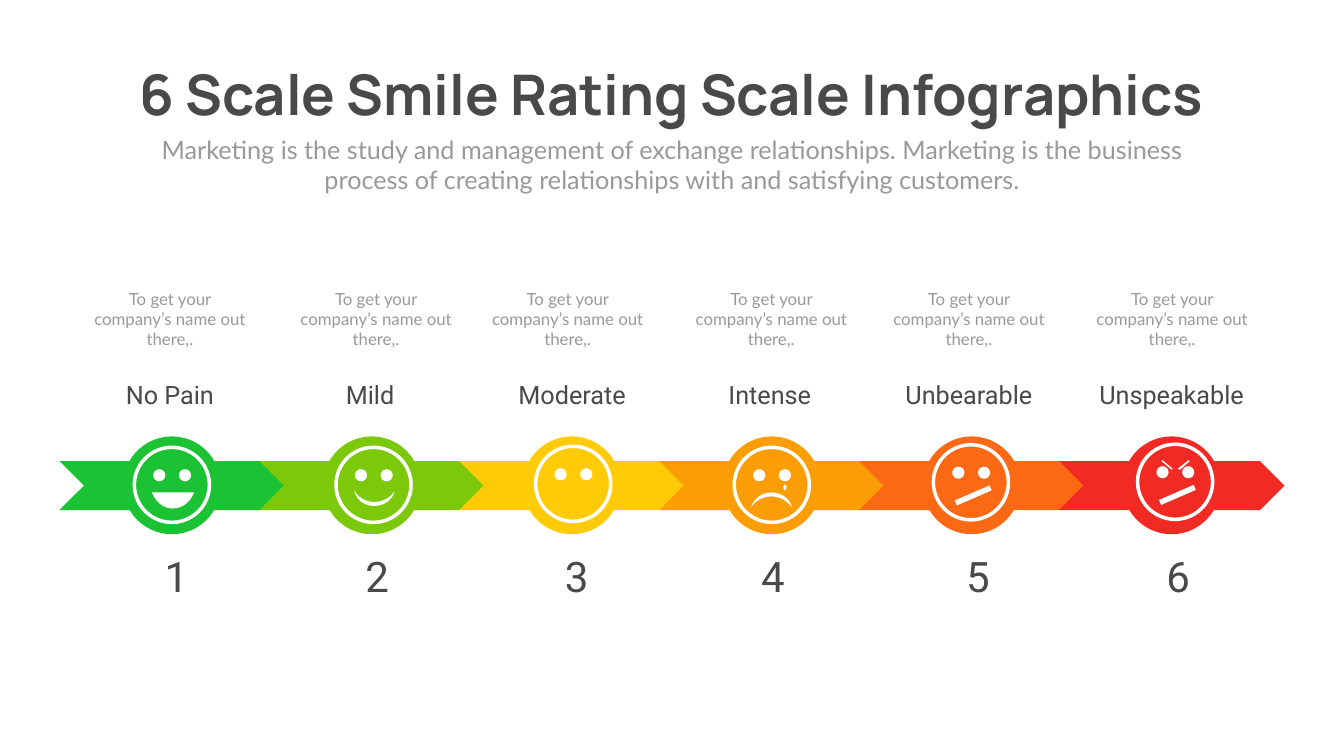
import math

from pptx import Presentation
from pptx.dml.color import RGBColor
from pptx.enum.shapes import MSO_SHAPE
from pptx.enum.text import MSO_ANCHOR, MSO_AUTO_SIZE, PP_ALIGN
from pptx.util import Inches, Pt

CHEVRON, OVAL, DONUT = MSO_SHAPE.CHEVRON, MSO_SHAPE.OVAL, MSO_SHAPE.DONUT
CENTER = PP_ALIGN.CENTER
TOP, MIDDLE = MSO_ANCHOR.TOP, MSO_ANCHOR.MIDDLE
GROW = MSO_AUTO_SIZE.SHAPE_TO_FIT_TEXT

DARK = RGBColor(0x49, 0x49, 0x49)
GREY = RGBColor(0x99, 0x99, 0x99)
WHITE = RGBColor(0xFF, 0xFF, 0xFF)
GREEN = RGBColor(0x1B, 0xC3, 0x34)
LIME = RGBColor(0x7C, 0xC9, 0x0C)
YELLOW = RGBColor(0xFF, 0xCB, 0x07)
AMBER = RGBColor(0xFB, 0x9D, 0x04)
ORANGE = RGBColor(0xFB, 0x69, 0x15)
RED = RGBColor(0xF1, 0x2A, 0x24)

DESCRIPTION = "To get your company’s name out there,."
FIRST_LEFT, STEP = 1.18, 3.966
FACE_SIZE, RING_WIDTH = 1.56, 0.07
CURVE_STEPS, OVAL_STEPS = 6, 16


def curve(start, *beziers):
    """Points along a chain of cubic curves, each given as three points."""
    points = [start]
    for b, c, d in beziers:
        a = points[-1]
        for i in range(1, CURVE_STEPS + 1):
            t = i / CURVE_STEPS
            u = 1 - t
            points.append(tuple(
                u**3 * a[k] + 3 * u * u * t * b[k] + 3 * u * t * t * c[k] + t**3 * d[k]
                for k in (0, 1)))
    return points


def oval(cx, cy, rx, ry):
    angles = [2 * math.pi * i / OVAL_STEPS for i in range(OVAL_STEPS)]
    return [(cx + rx * math.cos(a), cy + ry * math.sin(a)) for a in angles]


# Face outlines, in inches from the face's top left corner
EYES = [oval(0.53, 0.59, 0.12, 0.12), oval(1.04, 0.59, 0.12, 0.12)]
GRIN = [(0.38, 0.93)] + curve((1.22, 0.93), ((1.16, 1.1), (1.01, 1.25), (0.79, 1.25)),
                              ((0.6, 1.25), (0.45, 1.1), (0.38, 0.93)))
SMILE = curve((1.2, 0.9), ((1.16, 1.08), (0.99, 1.2), (0.79, 1.2)),
              ((0.6, 1.2), (0.43, 1.08), (0.39, 0.88)),
              ((0.47, 1.03), (0.62, 1.12), (0.79, 1.12)),
              ((0.97, 1.12), (1.12, 1.03), (1.2, 0.9)))
FROWN = curve((1.18, 1.23), ((1.09, 1.1), (0.94, 1.01), (0.77, 1.01)),
              ((0.6, 1.01), (0.45, 1.1), (0.36, 1.23)),
              ((0.43, 1.05), (0.58, 0.93), (0.77, 0.93)),
              ((0.97, 0.93), (1.14, 1.05), (1.18, 1.23)))
TEAR = oval(1.04, 0.83, 0.03, 0.055)
SLANT = [(1.15, 0.84), (1.19, 0.94), (0.5, 1.24), (0.46, 1.14)]
BROWS = [[(0.88, 0.54), (0.83, 0.52), (1.05, 0.35), (1.07, 0.37)],
         [(0.71, 0.54), (0.51, 0.37), (0.53, 0.35), (0.73, 0.52)]]

# label, colour, face position, face features, centres of description, label, number
RATINGS = [
    ("No Pain", GREEN, (2.63, 8.84), [GRIN], (3.37, 3.37, 3.5)),
    ("Mild", LIME, (6.63, 8.84), [SMILE], (7.46, 7.34, 7.48)),
    ("Moderate", YELLOW, (10.59, 8.82), [], (11.26, 11.35, 11.44)),
    ("Intense", AMBER, (14.53, 8.84), [FROWN, TEAR], (15.3, 15.27, 15.33)),
    ("Unbearable", ORANGE, (18.48, 8.79), [SLANT], (19.22, 19.22, 19.4)),
    ("Unspeakable", RED, (22.53, 8.78), [SLANT, *BROWS], (23.25, 23.24, 23.37)),
]


def paint(s, color):
    s.shadow.inherit = False
    s.fill.solid()
    s.fill.fore_color.rgb = color
    s.line.fill.background()


def add_block(slide, kind, left, top, width, height, color):
    s = slide.shapes.add_shape(kind, Inches(left), Inches(top), Inches(width), Inches(height))
    paint(s, color)
    return s


def add_face(slide, left, top, features):
    ring = add_block(slide, DONUT, left, top, FACE_SIZE, FACE_SIZE, WHITE)
    ring.adjustments[0] = RING_WIDTH / FACE_SIZE
    builder = None
    for outline in EYES + features:
        points = [(Inches(left + x), Inches(top + y)) for x, y in outline]
        if builder is None:
            builder = slide.shapes.build_freeform(*points[0], scale=1.0)
        else:
            builder.move_to(*points[0])
        builder.add_line_segments(points[1:], close=True)
    paint(builder.convert_to_shape(), WHITE)


def write(s, text, font, size, color, bold=False, wrap=True, anchor=TOP):
    tf = s.text_frame
    tf.word_wrap = wrap
    tf.auto_size = GROW
    tf.vertical_anchor = anchor
    p = tf.paragraphs[0]
    p.alignment = CENTER
    p.space_before = Pt(0)
    r = p.add_run()
    r.text = text
    r.font.name, r.font.size, r.font.bold = font, Pt(size), bold
    r.font.color.rgb = color


def place(s, left, top, width, height):
    s.left, s.top, s.width, s.height = map(Inches, (left, top, width, height))


def add_caption(slide, center, top, width, height, text, font, size, color):
    s = slide.shapes.add_textbox(Inches(center - width / 2), Inches(top),
                                 Inches(width), Inches(height))
    write(s, text, font, size, color)


def main():
    prs = Presentation()
    prs.slide_width, prs.slide_height = Inches(26.66), Inches(15)
    slide = prs.slides.add_slide(prs.slide_layouts[0])

    # Heading
    title, subtitle = slide.placeholders
    place(title, 1.92, 1.12, 22.81, 1.45)
    write(title, "6 Scale Smile Rating Scale Infographics", "Manrope", 80, DARK,
          bold=True, wrap=False, anchor=MIDDLE)
    place(subtitle, 2.92, 2.61, 20.82, 1.31)
    write(subtitle, "Marketing is the study and management of exchange relationships. "
          "Marketing is the business process of creating relationships with and "
          "satisfying customers.", "Lato", 36, GREY)

    # Arrow band with discs
    for i, (_, color, *_) in enumerate(RATINGS):
        left = FIRST_LEFT + i * STEP
        add_block(slide, CHEVRON, left, 9.15, 4.47, 0.97, color)
        add_block(slide, OVAL, left + 1.26, 8.66, 1.94, 1.94, color)

    # Faces and captions
    for number, (label, _, corner, features, centers) in enumerate(RATINGS, 1):
        add_face(slide, *corner, features)
        add_caption(slide, centers[0], 5.67, 3.3, 1.31, DESCRIPTION, "Lato", 24, GREY)
        add_caption(slide, centers[1], 7.47, 3.54, 0.71, label, "Roboto", 36, DARK)
        add_caption(slide, centers[2], 10.88, 2.21, 1.11, str(number), "Roboto", 60, DARK)

    prs.save("out.pptx")


if __name__ == "__main__":
    main()
